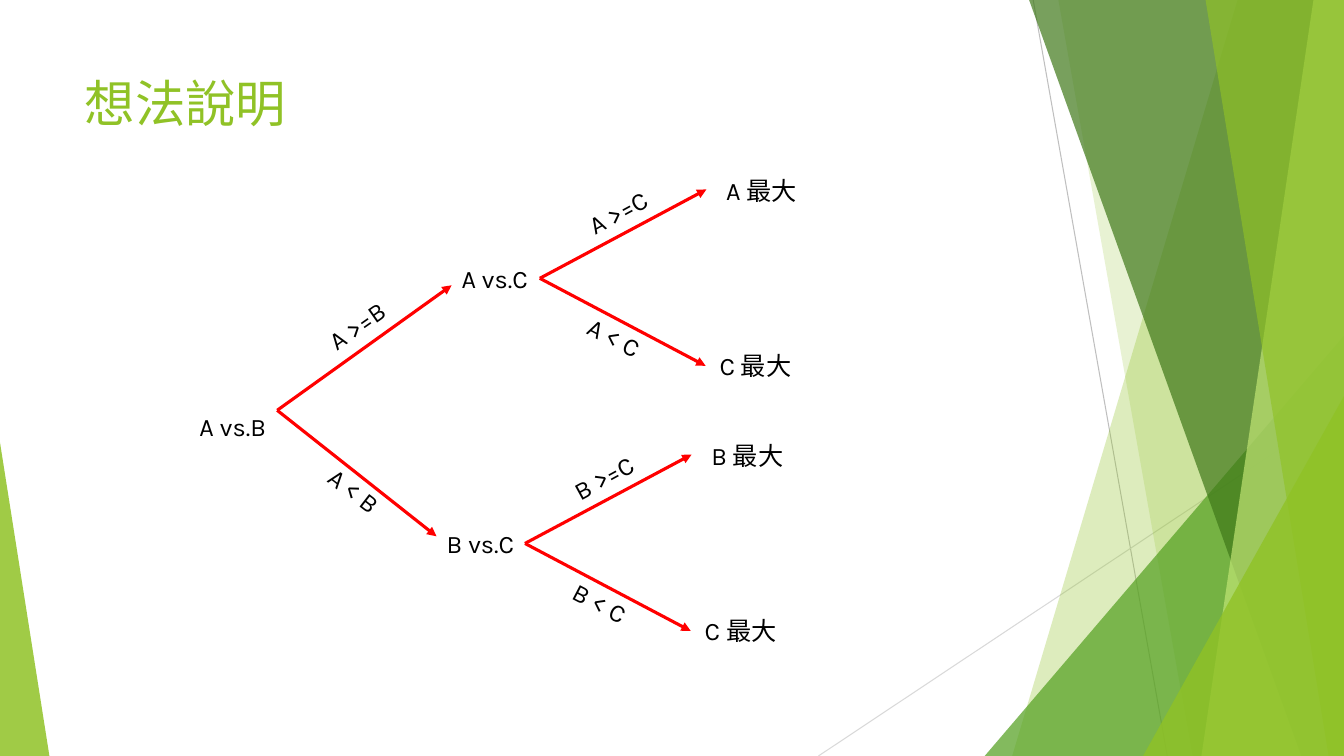
from dataclasses import dataclass

from lxml.etree import SubElement
from pptx import Presentation
from pptx.dml.color import RGBColor
from pptx.enum.shapes import MSO_CONNECTOR, MSO_SHAPE
from pptx.enum.text import MSO_ANCHOR, MSO_AUTO_SIZE, PP_ALIGN
from pptx.oxml.ns import qn
from pptx.util import Pt

WIDTH, HEIGHT = 960, 540


@dataclass(frozen=True)
class Theme:
    font: str = "Karla"
    title_size: int = 36
    label_size: int = 18
    lime: str = "90C226"
    pale_lime: str = "C0E474"
    green: str = "54A021"
    dark_green: str = "3F7819"
    gray: str = "BFBFBF"
    light_gray: str = "D9D9D9"
    arrow: str = "FF0000"
    text: str = "000000"


THEME = Theme()


@dataclass(frozen=True)
class Branch:
    """One way out of a comparison, in points from the comparison's top left."""
    tip: tuple
    condition_box: tuple
    rotation: float
    outcome_at: tuple = (0, 0)


ROOT_BRANCHES = (
    Branch((187.2, -86.4), (90, -72, 59), -35.1),
    Branch((176.4, 92.9), (90.6, 46, 54.7), 37.8),
)
FORK_BRANCHES = (
    Branch((182, -49), (89.3, -47.5, 60), -28.6, (189, -62.6)),
    Branch((181.4, 77), (89.3, 42.8, 55.8), 27.7, (184.3, 62.6)),
)


def add_run(paragraph, text, size, color):
    run = paragraph.add_run()
    run.text = text
    run.font.name = THEME.font
    run.font.size = Pt(size)
    run.font.color.rgb = RGBColor.from_string(color)


def add_label(slide, text, left, top, width, rotation=0, wrap=False):
    label = slide.shapes.add_textbox(Pt(left), Pt(top), Pt(width), Pt(29))
    label.rotation = rotation
    frame = label.text_frame
    frame.word_wrap = wrap
    frame.auto_size = MSO_AUTO_SIZE.SHAPE_TO_FIT_TEXT
    add_run(frame.paragraphs[0], text, THEME.label_size, THEME.text)
    return label


def add_line(slide, start, end, color, weight, arrow=False):
    line = slide.shapes.add_connector(
        MSO_CONNECTOR.STRAIGHT, *(Pt(value) for value in (*start, *end)))
    line.line.color.rgb = RGBColor.from_string(color)
    line.line.width = Pt(weight)
    if arrow:
        SubElement(line.line._get_or_add_ln(), qn("a:tailEnd"), type="triangle")
    SubElement(line._element.spPr, qn("a:effectLst"))
    return line


def tint(shape, color, opacity):
    """Fill a shape with a colour at an opacity in percent, without outline."""
    shape.shadow.inherit = False
    shape.line.fill.background()
    shape.fill.solid()
    shape.fill.fore_color.rgb = RGBColor.from_string(color)
    color_element = shape._element.spPr.find(qn("a:solidFill"))[0]
    SubElement(color_element, qn("a:alpha"), val=str(opacity * 1000))


def add_panel(slide, top_left, bottom_left, color, opacity):
    """Add a full-height panel with a slanted left edge at the slide's right."""
    builder = slide.shapes.build_freeform(Pt(top_left), 0)
    corners = ((WIDTH, 0), (WIDTH, HEIGHT), (bottom_left, HEIGHT))
    builder.add_line_segments([(Pt(x), Pt(y)) for x, y in corners], close=True)
    tint(builder.convert_to_shape(), color, opacity)


def add_corner(slide, left, top, width, apex, color, opacity):
    """Add a triangle that stands on the slide's bottom edge."""
    triangle = slide.shapes.add_shape(
        MSO_SHAPE.ISOSCELES_TRIANGLE,
        Pt(left), Pt(top), Pt(width), Pt(HEIGHT - top))
    triangle.adjustments[0] = apex
    tint(triangle, color, opacity)


def add_backdrop(slide):
    add_line(slide, (738, 0), (833.8, HEIGHT), THEME.gray, 0.75)
    add_line(slide, (WIDTH, 290.2), (584.6, HEIGHT), THEME.light_gray, 0.75)
    add_panel(slide, 884, 723, THEME.lime, 30)
    add_panel(slide, 756, 851.8, THEME.lime, 20)
    add_corner(slide, 703.4, 239.8, WIDTH - 703.4, 1, THEME.green, 72)
    add_panel(slide, 735.1, 929.5, THEME.dark_green, 70)
    add_panel(slide, 938.2, 858.2, THEME.pale_lime, 70)
    add_panel(slide, 861.1, 949, THEME.lime, 65)
    add_corner(slide, 816.5, 283, WIDTH - 816.5, 1, THEME.lime, 80)
    add_corner(slide, 0, 316.1, 35.3, 0, THEME.lime, 85)


def add_title(slide, text, left, top, width, height):
    title = slide.shapes.title
    title.left, title.top = Pt(left), Pt(top)
    title.width, title.height = Pt(width), Pt(height)
    frame = title.text_frame
    frame.auto_size = MSO_AUTO_SIZE.NONE
    frame.vertical_anchor = MSO_ANCHOR.TOP
    paragraph = frame.paragraphs[0]
    paragraph.alignment = PP_ALIGN.LEFT
    add_run(paragraph, text, THEME.title_size, THEME.lime)
    slide.shapes._spTree.append(title._element)  # in front of the backdrop


def add_comparison(slide, left, top, first, second, branches, start,
                   winners=(), joined=False):
    """Add "first vs.second" with its two arrows, conditions and outcomes."""
    node = add_label(slide, f"{first} vs.{second}", left, top, 63)
    for branch, sign in zip(branches, (">=", "< ")):
        tip_x, tip_y = branch.tip
        arrow = add_line(slide, (left + start[0], top + start[1]),
                         (left + tip_x, top + tip_y), THEME.arrow, 2.25, True)
        if joined:
            arrow.begin_connect(node, 3)
        x, y, width = branch.condition_box
        add_label(slide, f"{first} {sign}{second}", left + x, top + y, width,
                  branch.rotation)
    for branch, winner in zip(branches, winners):
        x, y = branch.outcome_at
        add_label(slide, f"{winner} 最大", left + x, top + y, 66.4, wrap=True)


def add_decision_tree(slide, left, top):
    add_comparison(slide, left, top, "A", "B", ROOT_BRANCHES, (62.6, 2.9))
    for name, x, y in (("A", 187.2, -105.9), ("B", 176.6, 83.5)):
        add_comparison(slide, left + x, top + y, name, "C", FORK_BRANCHES,
                       (63, 14.5), (name, "C"), joined=True)


def main():
    presentation = Presentation()
    presentation.slide_width, presentation.slide_height = Pt(WIDTH), Pt(HEIGHT)
    slide = presentation.slides.add_slide(presentation.slide_layouts[5])
    add_backdrop(slide)
    add_title(slide, "想法說明", 53.3, 48, 677, 104)
    add_decision_tree(slide, 135.4, 290.2)
    presentation.save("out.pptx")


if __name__ == "__main__":
    main()
